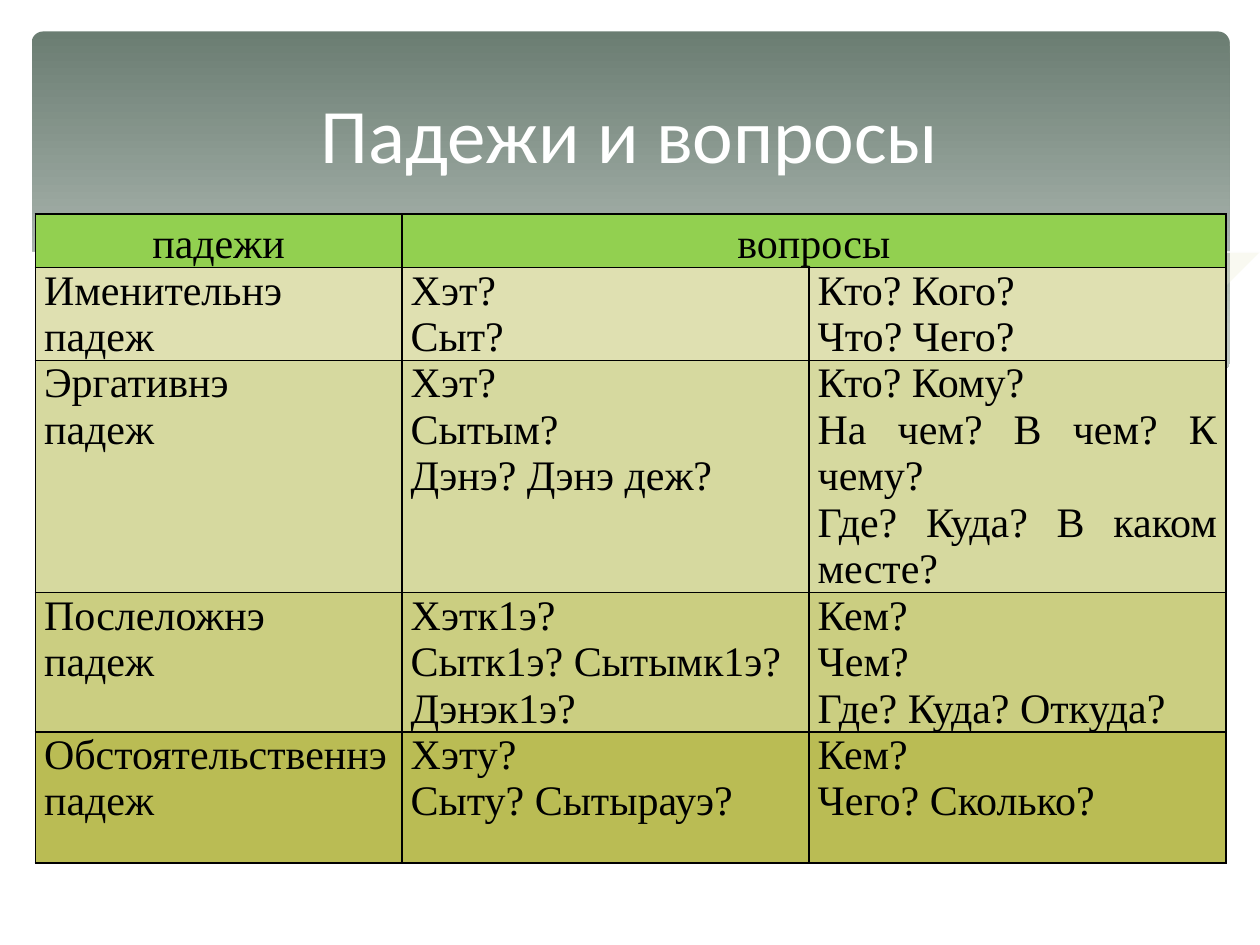
from lxml import etree
from pptx import Presentation
from pptx.dml.color import RGBColor
from pptx.enum.shapes import MSO_SHAPE as Shape
from pptx.enum.text import MSO_ANCHOR as Anchor, PP_ALIGN as Align
from pptx.oxml import parse_xml
from pptx.oxml.ns import nsdecls, qn
from pptx.util import Inches, Pt

WHITE = RGBColor(0xFF, 0xFF, 0xFF)
BLACK = RGBColor(0, 0, 0)
BANNER_DARK = RGBColor(0x6B, 0x7D, 0x72)
BANNER_LIGHT = RGBColor(0xBE, 0xC7, 0xC2)
WAVE = RGBColor(0xEC, 0xED, 0xD1)
HEADER = RGBColor(0x92, 0xD0, 0x50)
ROW_FILLS = [
    RGBColor(0xDF, 0xE0, 0xB1),
    RGBColor(0xD6, 0xD9, 0x9F),
    RGBColor(0xCB, 0xCE, 0x81),
    RGBColor(0xBA, 0xBC, 0x54),
]

# Wave outlines, in inches
RIGHT_WAVE = [
    (9.76, 2), (9.48, 2.04), (9.06, 2.13), (8.61, 2.23), (7.79, 2.42),
    (7.06, 2.57), (6.61, 2.65), (7.05, 2.71), (7.57, 2.76), (8.14, 2.78),
    (8.63, 2.75), (9.05, 2.69), (9.42, 2.59), (9.76, 2.47)]
MIDDLE_WAVE = [
    (8.93, 2.73), (8.37, 2.65), (7.75, 2.54), (7.06, 2.4), (6.29, 2.22),
    (5.69, 2.08), (5.14, 1.98), (4.65, 1.91), (4.2, 1.87), (3.8, 1.85),
    (3.28, 1.87), (2.86, 1.91), (3.42, 1.99), (4.04, 2.11), (4.91, 2.32),
    (5.66, 2.48), (6.34, 2.61), (6.95, 2.7), (7.48, 2.76), (8.07, 2.78),
    (8.57, 2.77)]
LONG_LINE = [
    (3.09, 1.95), (3.44, 1.9), (3.87, 1.87), (4.33, 1.87), (4.89, 1.9),
    (5.56, 1.97), (6.36, 2.08), (7.27, 2.26), (8.31, 2.51), (9.07, 2.72)]
SHORT_LINE = [
    (6.13, 2.57), (6.72, 2.41), (7.48, 2.23), (8.36, 2.04), (8.95, 1.94),
    (9.38, 1.88), (9.75, 1.85)]
WHITE_WAVE = [
    (9.77, 2.46), (9.5, 2.56), (9.1, 2.67), (8.63, 2.74), (8.09, 2.77),
    (7.44, 2.74), (6.68, 2.65), (5.79, 2.5), (5.03, 2.33), (4.18, 2.13),
    (3.4, 1.97), (2.71, 1.88), (2.11, 1.84), (1.61, 1.84), (1.19, 1.87),
    (0.85, 1.93), (0.59, 1.99), (0.4, 2.05), (0.23, 2.13), (0.23, 3.29),
    (9.77, 3.29)]

COLUMN_WIDTHS = [2.91, 3.23, 3.31]
ROW_HEIGHTS = [0.35, 0.69, 1.38, 1.04, 1.04]
CASES = [
    ("Именительнэ\nпадеж", "Хэт?\nСыт?", "Кто? Кого?\nЧто? Чего?"),
    ("Эргативнэ\nпадеж", "Хэт?\nСытым?\nДэнэ? Дэнэ деж?",
     "Кто? Кому?\nНа чем? В чем? К чему?\nГде? Куда? В каком месте?"),
    ("Послеложнэ\nпадеж", "Хэтк1э?\nСытк1э? Сытымк1э?\nДэнэк1э?",
     "Кем?\nЧем?\nГде? Куда? Откуда?"),
    ("Обстоятельственнэ\nпадеж", "Хэту?\nСыту? Сытырауэ?",
     "Кем?\nЧего? Сколько?"),
]


def add_banner(page):
    banner = page.shapes.add_shape(
        Shape.ROUNDED_RECTANGLE, Inches(0.25), Inches(0.25), Inches(9.51), Inches(2.7))
    banner.adjustments[0] = 0.034
    banner.shadow.inherit = False
    banner.line.fill.background()
    banner.fill.gradient()
    banner.fill.gradient_angle = 270
    stops = banner.fill.gradient_stops
    for stop, color, position in zip(stops, (BANNER_DARK, BANNER_LIGHT), (0, 0.9)):
        stop.color.rgb = color
        stop.position = position


def add_outline(page, points, closed):
    builder = page.shapes.build_freeform(*points[0], scale=Inches(1))
    builder.add_line_segments(points[1:], close=closed)
    outline = builder.convert_to_shape()
    outline.shadow.inherit = False
    return outline


def add_wave(page, points, color, opacity=100):
    wave = add_outline(page, points, closed=True)
    wave.line.fill.background()
    wave.fill.solid()
    wave.fill.fore_color.rgb = color
    if opacity < 100:
        color_node = wave.fill._xPr.find(qn("a:solidFill"))[0]
        etree.SubElement(color_node, qn("a:alpha"), val=str(opacity * 1000))


def add_wave_line(page, points):
    curve = add_outline(page, points, closed=False)
    curve.fill.background()
    curve.line.color.rgb = WHITE
    curve.line.width = Pt(0)


def add_title(page, text):
    box = page.shapes.add_textbox(Inches(0.5), Inches(0.37), Inches(9), Inches(1.37))
    frame = box.text_frame
    frame.word_wrap = True
    frame.vertical_anchor = Anchor.MIDDLE
    para = frame.paragraphs[0]
    para.text = text
    para.alignment = Align.CENTER
    para.font.name = "Calibri"
    para.font.size = Pt(44)
    para.font.color.rgb = WHITE


def add_borders(cell):
    properties = cell._tc.get_or_add_tcPr()
    for side in ("lnL", "lnR", "lnT", "lnB"):
        properties.append(parse_xml(
            f'<a:{side} {nsdecls("a")} w="{Pt(1)}"><a:solidFill>'
            f'<a:srgbClr val="{BLACK}"/></a:solidFill></a:{side}>'))


def fill_cell(cell, text, color, alignment, spacing=None):
    add_borders(cell)
    cell.fill.solid()
    cell.fill.fore_color.rgb = color
    cell.margin_left = cell.margin_right = Inches(0.07)
    cell.margin_top = cell.margin_bottom = 0
    cell.text = text
    for para in cell.text_frame.paragraphs:
        para.alignment = alignment
        para.line_spacing = spacing
        para.font.name = "Times New Roman"
        para.font.size = Pt(24)
        para.font.bold = False
        para.font.color.rgb = BLACK


def add_case_table(page):
    table = page.shapes.add_table(
        len(ROW_HEIGHTS), len(COLUMN_WIDTHS), Inches(0.28), Inches(1.7),
        Inches(sum(COLUMN_WIDTHS)), Inches(sum(ROW_HEIGHTS))).table
    for column, width in zip(table.columns, COLUMN_WIDTHS):
        column.width = Inches(width)
    for row, height in zip(table.rows, ROW_HEIGHTS):
        row.height = Inches(height)

    # Header row, with the questions over two columns
    for index, text in enumerate(("падежи", "вопросы", "")):
        fill_cell(table.cell(0, index), text, HEADER, Align.CENTER, 1.15)
    table.cell(0, 1).merge(table.cell(0, 2))

    # One row for each case
    for row, (texts, color) in enumerate(zip(CASES, ROW_FILLS), start=1):
        for column, text in enumerate(texts):
            fill_cell(table.cell(row, column), text, color, Align.JUSTIFY)


def main():
    deck = Presentation()
    deck.slide_width, deck.slide_height = Inches(10), Inches(7.5)
    page = deck.slides.add_slide(deck.slide_layouts[6])

    # Banner and waves
    add_banner(page)
    add_wave(page, RIGHT_WAVE, WAVE, opacity=29)
    add_wave(page, MIDDLE_WAVE, WAVE, opacity=40)
    add_wave_line(page, LONG_LINE)
    add_wave_line(page, SHORT_LINE)
    add_wave(page, WHITE_WAVE, WHITE)

    # Content
    add_case_table(page)
    add_title(page, "Падежи и вопросы")
    deck.save("out.pptx")


if __name__ == "__main__":
    main()
